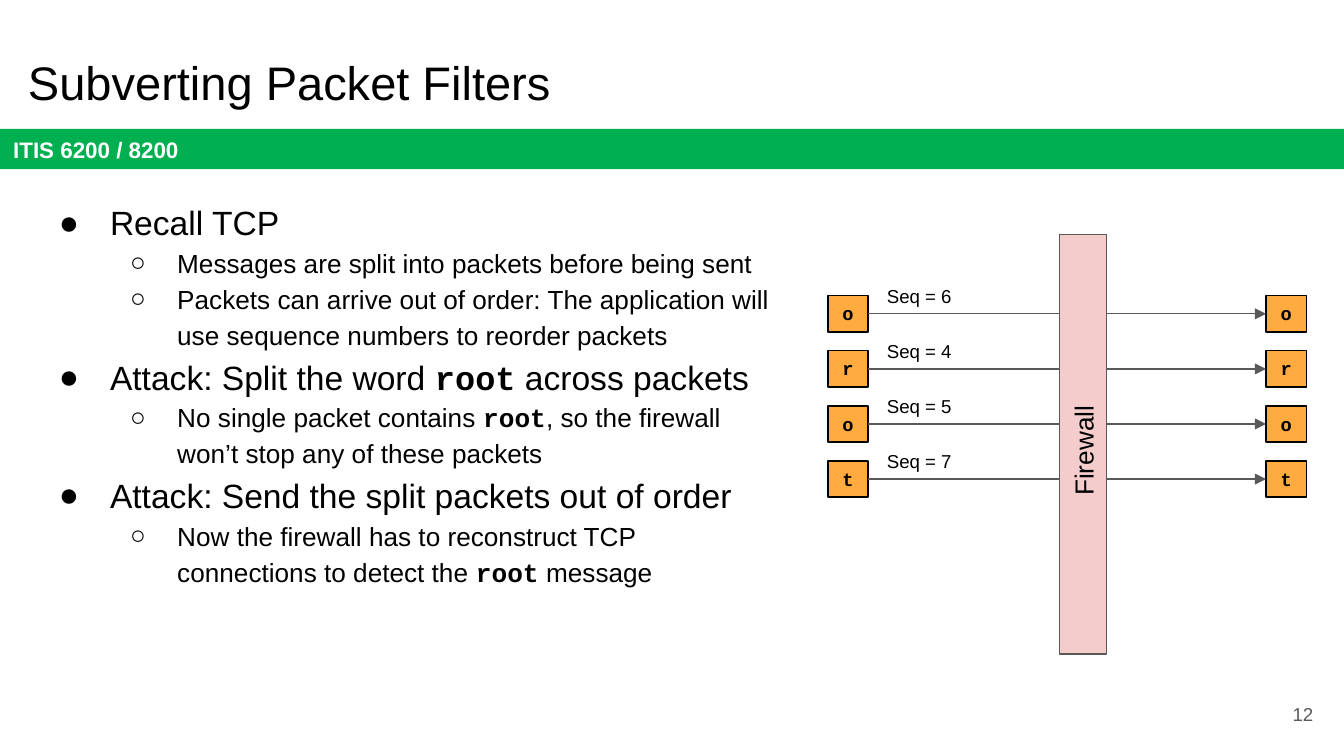
import pptx
import pptx.util
import pptx.dml.color
import pptx.enum.shapes
import pptx.enum.text
import pptx.oxml.ns
from lxml import etree
from pptx.util import Inches, Pt

COLORS = {
    "text": "000000",
    "white": "FFFFFF",
    "bar": "00B050",
    "packet": "FFAB40",
    "firewall": "F4CCCC",
    "gray": "595959",
}
SANS, MONO = "Arial", "Courier New"
ALIGN = pptx.enum.text.PP_ALIGN
ANCHOR = pptx.enum.text.MSO_ANCHOR
RECT = pptx.enum.shapes.MSO_SHAPE.RECTANGLE

# (level, runs); the keyword is set in bold monospace
KEYWORD = "root"
BULLETS = [
    (0, ["Recall TCP"]),
    (1, ["Messages are split into packets before being sent"]),
    (1, ["Packets can arrive out of order: The application will "
         "use sequence numbers to reorder packets"]),
    (0, ["Attack: Split the word ", KEYWORD, " across packets"]),
    (1, ["No single packet contains ", KEYWORD,
         ", so the firewall won’t stop any of these packets"]),
    (0, ["Attack: Send the split packets out of order"]),
    (1, ["Now the firewall has to reconstruct TCP connections to detect the ",
         KEYWORD, " message"]),
]
# level: (bullet character, left margin, hanging indent, text size)
LEVELS = [("●", 0.5, -0.38, 18), ("○", 1, -0.35, 14)]

PACKETS = [("o", 6), ("r", 4), ("o", 5), ("t", 7)]
PACKET_W, PACKET_H = 0.3, 0.27
SENT_X, RECEIVED_X = 6.16, 9.42
FIRST_Y, ROW_STEP = 2.2, 0.41


def rgb(name):
    return pptx.dml.color.RGBColor.from_string(COLORS[name])


def add_run(p, text, size, font=SANS, color="text", bold=False):
    r = p.add_run()
    r.text = text
    r.font.size = Pt(size)
    r.font.name = font
    r.font.bold = bold
    r.font.color.rgb = rgb(color)


def set_frame(sp, inset=0.1, anchor=ANCHOR.TOP, align=ALIGN.LEFT):
    """Prepare the text frame and return its first paragraph."""
    tf = sp.text_frame
    tf.word_wrap = True
    tf.vertical_anchor = anchor
    tf.margin_left = tf.margin_right = Inches(inset)
    tf.margin_top = tf.margin_bottom = Inches(inset)
    p = tf.paragraphs[0]
    p.alignment = align
    return p


def add_text(s, x, y, w, h, text, size, color="text", **frame):
    sp = s.shapes.add_textbox(Inches(x), Inches(y), Inches(w), Inches(h))
    add_run(set_frame(sp, **frame), text, size, color=color)


def add_rect(s, x, y, w, h, fill, line=None):
    sp = s.shapes.add_shape(RECT, Inches(x), Inches(y), Inches(w), Inches(h))
    sp.shadow.inherit = False
    sp.fill.solid()
    sp.fill.fore_color.rgb = rgb(fill)
    if line:
        sp.line.color.rgb = rgb(line)
        sp.line.width = Pt(0.75)
    else:
        sp.line.fill.background()
    return sp


def add_packet(s, x, y, letter):
    sp = add_rect(s, x, y, PACKET_W, PACKET_H, "packet", "text")
    p = set_frame(sp, inset=0.05, align=ALIGN.CENTER)
    add_run(p, letter, 10, MONO, bold=True)
    return sp


def add_arrow(s, start, end):
    """Join the right side of start to the left side of end."""
    line = s.shapes.add_connector(
        pptx.enum.shapes.MSO_CONNECTOR.STRAIGHT, 0, 0, 0, 0)
    line.begin_connect(start, 3)
    line.end_connect(end, 1)
    line.line.color.rgb = rgb("gray")
    line.line.width = Pt(0.75)
    qn = pptx.oxml.ns.qn
    ln = line._element.spPr.find(qn("a:ln"))
    etree.SubElement(ln, qn("a:tailEnd"), type="triangle")
    etree.SubElement(line._element.spPr, qn("a:effectLst"))


def set_bullet(p, char, margin, indent):
    qn = pptx.oxml.ns.qn
    pPr = p._p.get_or_add_pPr()
    pPr.set("marL", str(Inches(margin)))
    pPr.set("indent", str(Inches(indent)))
    bu_color = etree.SubElement(pPr, qn("a:buClr"))
    etree.SubElement(bu_color, qn("a:srgbClr"), val=COLORS["text"])
    etree.SubElement(pPr, qn("a:buFont"), typeface=SANS)
    etree.SubElement(pPr, qn("a:buChar"), char=char)


def add_bullets(s, x, y, w, h):
    sp = s.shapes.add_textbox(Inches(x), Inches(y), Inches(w), Inches(h))
    p = set_frame(sp)
    for i, (level, runs) in enumerate(BULLETS):
        if i:
            p = sp.text_frame.add_paragraph()
        char, margin, indent, size = LEVELS[level]
        p.level = level
        set_bullet(p, char, margin, indent)
        p.line_spacing = 1.15
        for text in runs:
            is_keyword = text == KEYWORD
            add_run(p, text, size, MONO if is_keyword else SANS, bold=is_keyword)


def add_firewall(s):
    sp = add_rect(s, 6.5, 3.13, 3.12, 0.35, "firewall", "gray")
    sp.rotation = 270
    p = set_frame(sp, anchor=ANCHOR.MIDDLE, align=ALIGN.CENTER)
    sp.text_frame.margin_left = 0
    add_run(p, "Firewall", 14)


def add_diagram(s):
    rows = [FIRST_Y + i * ROW_STEP for i in range(len(PACKETS))]
    for y, (letter, _) in zip(rows, PACKETS):
        sent = add_packet(s, SENT_X, y, letter)
        received = add_packet(s, RECEIVED_X, y, letter)
        add_arrow(s, sent, received)
    add_firewall(s)
    for y, (_, seq) in zip(rows, PACKETS):
        add_text(s, 6.55, y - 0.13, 1.34, 0.27, f"Seq = {seq}", 10, inset=0.05)


def main():
    prs = pptx.Presentation()
    prs.slide_width = Inches(10)
    prs.slide_height = Inches(10 * 9 / 16)
    s = prs.slides.add_slide(prs.slide_layouts[6])

    bar = add_rect(s, 0, 0.96, 10, 0.3, "bar")
    p = set_frame(bar, anchor=ANCHOR.MIDDLE)
    add_run(p, "ITIS 6200 / 8200", 12, color="white", bold=True)
    add_text(s, 9.27, 5.1, 0.6, 0.43, "12", 10, color="gray",
             anchor=ANCHOR.MIDDLE, align=ALIGN.RIGHT)
    add_text(s, 0.11, 0.3, 9.32, 0.63, "Subverting Packet Filters", 25.2)
    add_bullets(s, 0.22, 1.36, 5.62, 4.12)
    add_diagram(s)

    prs.save("out.pptx")


if __name__ == "__main__":
    main()
